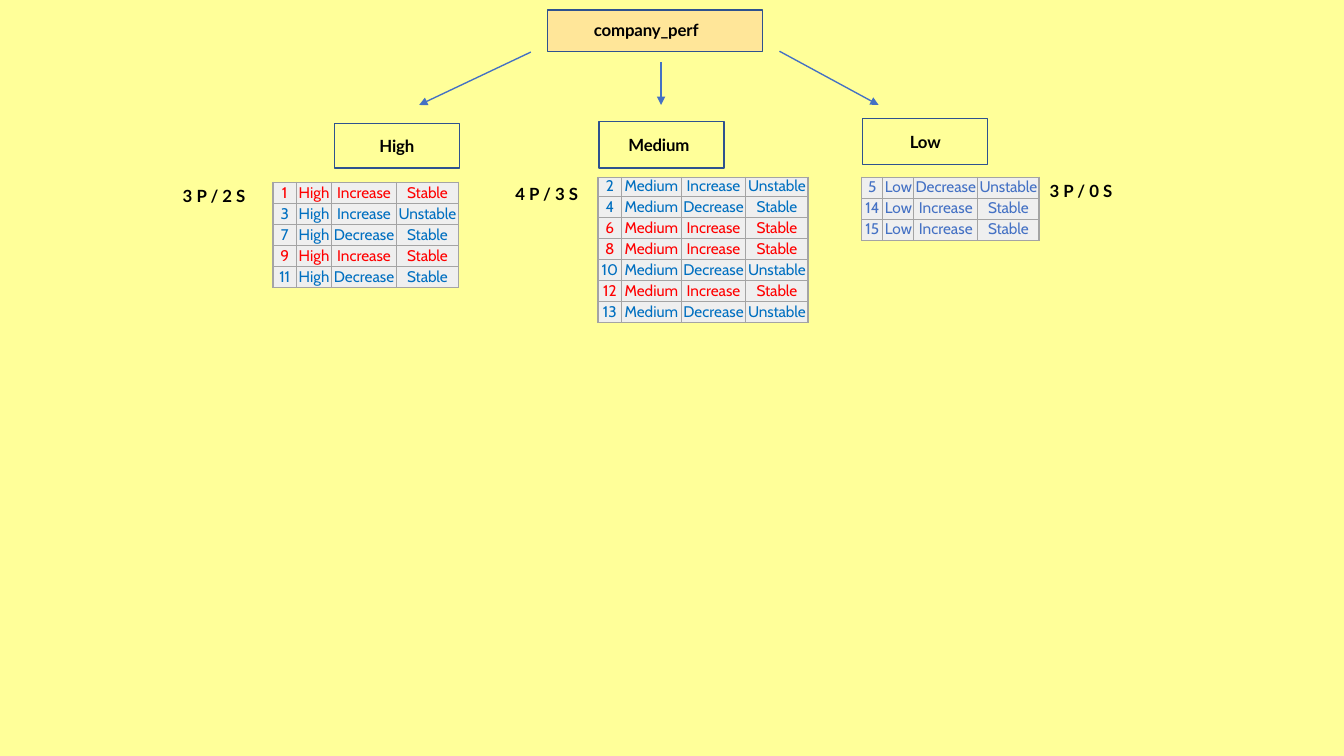
from lxml.etree import SubElement
from pptx import Presentation
from pptx.dml.color import RGBColor
from pptx.enum.shapes import MSO_CONNECTOR, MSO_SHAPE
from pptx.enum.text import MSO_ANCHOR, MSO_AUTO_SIZE, PP_ALIGN
from pptx.oxml.ns import qn
from pptx.util import Inches, Pt

COLUMNS, ROWS = 160, 90
YELLOW = RGBColor(0xFF, 0xFF, 0x99)
PEACH = RGBColor(0xFF, 0xE6, 0x99)
NAVY = RGBColor(0x2E, 0x52, 0x8F)
INDIGO = RGBColor(0x44, 0x71, 0xC4)
BLUE = RGBColor(0x00, 0x6F, 0xC0)
RED = RGBColor(0xFF, 0x00, 0x00)
BLACK = RGBColor(0x00, 0x00, 0x00)
PALE = RGBColor(0xEF, 0xEF, 0xEF)
GREY = RGBColor(0xA4, 0xA4, 0xA4)


class TreeSlide:
    heading_font, table_font = "Lato", "Cabin"
    row_height = 2.5

    def __init__(self, prs):
        self.col = prs.slide_width / COLUMNS
        self.row = prs.slide_height / ROWS
        self.s = prs.slides.add_slide(prs.slide_layouts[5])
        fill = self.s.background.fill
        fill.solid()
        fill.fore_color.rgb = YELLOW

    def x(self, columns):
        return round(columns * self.col)

    def y(self, rows):
        return round(rows * self.row)

    def box(self, left, top, width, height):
        return self.x(left), self.y(top), self.x(width), self.y(height)

    def style(self, p, name, size, color, bold=False, tight=False, align=PP_ALIGN.LEFT):
        p.alignment = align
        f = p.font
        f.name, f.size, f.bold = name, Pt(size), bold
        f.color.rgb = color
        if tight:
            f._rPr.set("spc", "-10")

    def heading(self, sp, text, top, left=0, tight=True, align=PP_ALIGN.LEFT):
        tf = sp.text_frame
        tf.word_wrap = True
        tf.auto_size = MSO_AUTO_SIZE.NONE
        tf.vertical_anchor = MSO_ANCHOR.TOP
        tf.margin_left, tf.margin_top = self.x(left), self.y(top)
        tf.margin_right = tf.margin_bottom = 0
        p = tf.paragraphs[0]
        p.text = text
        self.style(p, self.heading_font, 12, BLACK, True, tight, align)

    def outline(self, sp):
        sp.line.color.rgb = NAVY
        sp.line.width = Pt(0.96)

    def root(self, text, place, top, left):
        sp = self.s.shapes.title
        sp.left, sp.top, sp.width, sp.height = self.box(*place)
        sp.fill.solid()
        sp.fill.fore_color.rgb = PEACH
        self.outline(sp)
        self.heading(sp, text, top, left)

    def branch(self, text, place, top, left=0, align=PP_ALIGN.CENTER):
        sp = self.s.shapes.add_shape(MSO_SHAPE.RECTANGLE, *self.box(*place))
        sp.shadow.inherit = False
        sp.fill.background()
        self.outline(sp)
        self.heading(sp, text, top, left, align=align)

    def label(self, text, left, top):
        sp = self.s.shapes.add_textbox(*self.box(left, top, 9, 2.8))
        self.heading(sp, text, 0.15, 0.15, tight=False)

    def arrow(self, x1, y1, x2, y2):
        cx = self.s.shapes.add_connector(
            MSO_CONNECTOR.STRAIGHT, self.x(x1), self.y(y1), self.x(x2), self.y(y2))
        cx.line.color.rgb = INDIGO
        cx.line.width = Pt(0.96)
        SubElement(cx.line._get_or_add_ln(), qn("a:tailEnd"), type="triangle")
        SubElement(cx._element.spPr, qn("a:effectLst"))

    def border(self, cell):
        tcPr = cell._tc.get_or_add_tcPr()
        for side in ("lnL", "lnR", "lnT", "lnB"):
            ln = SubElement(tcPr, qn(f"a:{side}"), w=str(Pt(1)))
            fill = SubElement(ln, qn("a:solidFill"))
            SubElement(fill, qn("a:srgbClr"), val=str(GREY))

    def cell(self, cell, text, color, tight, top):
        self.border(cell)
        cell.fill.solid()
        cell.fill.fore_color.rgb = PALE
        cell.margin_left = cell.margin_right = cell.margin_bottom = 0
        cell.margin_top = self.y(top)
        p = cell.text_frame.paragraphs[0]
        p.text = text
        p.line_spacing = Pt(12.8)
        self.style(p, self.table_font, 11, color, tight=tight, align=PP_ALIGN.CENTER)

    def table(self, level, records, left, top, widths, first_row=2.5, first_top=0.2,
              color=BLUE, success=RED):
        heights = [first_row] + [self.row_height] * (len(records) - 1)
        place = self.box(left, top, sum(widths), sum(heights))
        tbl = self.s.shapes.add_table(len(records), len(widths), *place).table
        tbl.first_row = tbl.horz_banding = False
        for column, width in zip(tbl.columns, widths):
            column.width = self.x(width)
        for i, (number, trend, state) in enumerate(records):
            tbl.rows[i].height = self.y(heights[i])
            ink = success if (trend, state) == ("Increase", "Stable") else color
            for j, text in enumerate((str(number), level, trend, state)):
                self.cell(tbl.cell(i, j), text, ink, j == 3, 0.2 if i else first_top)


def main():
    prs = Presentation()
    prs.slide_width, prs.slide_height = Inches(13.33), Inches(7.5)
    tree = TreeSlide(prs)
    up, down, stable, unstable = "Increase", "Decrease", "Stable", "Unstable"

    tree.root("company_perf", (65.2, 1.2, 25.6, 4.9), 1.2, 5.5)
    tree.branch("High", (39.8, 14.7, 14.9, 5.3), 1.45)
    tree.branch("Medium", (71.3, 14.5, 14.9, 5.5), 1.55, 3.5, PP_ALIGN.LEFT)
    tree.branch("Low", (102.7, 14.1, 14.9, 5.5), 1.55)

    for ends in ((63.2, 6.2, 49.9, 12.5), (78.7, 7.4, 78.7, 12.5), (92.8, 6.1, 104.6, 12.5)):
        tree.arrow(*ends)

    tree.table("High", [
        (1, up, stable), (3, up, unstable), (7, down, stable),
        (9, up, stable), (11, down, stable),
    ], 32.5, 21.7, (2.8, 4.2, 7.7, 7.4))
    tree.table("Medium", [
        (2, up, unstable), (4, down, stable), (6, up, stable), (8, up, stable),
        (10, down, unstable), (12, up, stable), (13, down, unstable),
    ], 71.2, 21.1, (2.8, 7.1, 7.7, 7.4), first_row=2.3, first_top=0)
    tree.table("Low", [
        (5, down, unstable), (14, up, stable), (15, up, stable),
    ], 102.6, 21.1, (2.5, 3.7, 7.6, 7.3), color=INDIGO, success=INDIGO)

    tree.label("3 P / 2 S", 21.6, 22)
    tree.label("4 P / 3 S", 61.2, 21.7)
    tree.label("3 P / 0 S", 124.8, 21.4)
    prs.save("out.pptx")


if __name__ == "__main__":
    main()
